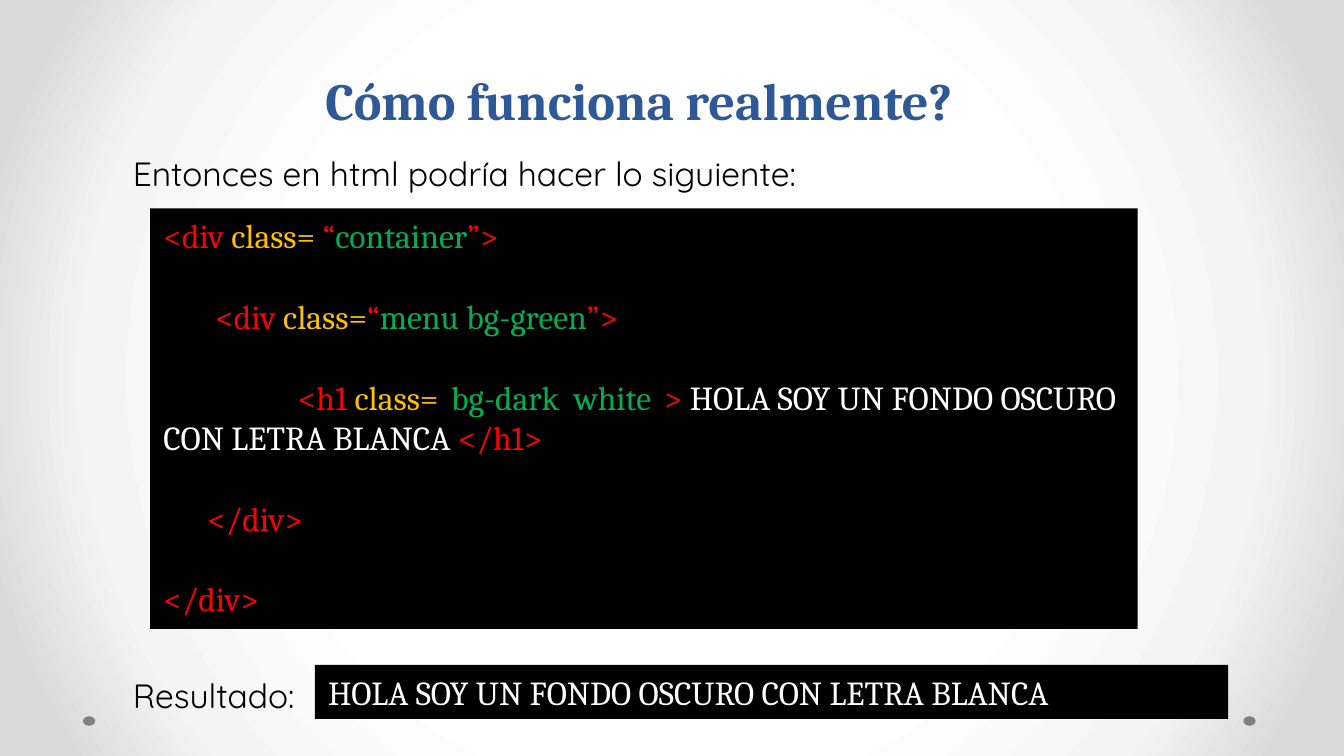
import pptx
import pptx.util
import pptx.dml.color
import pptx.enum.shapes
import pptx.enum.text
import pptx.oxml
import pptx.oxml.ns
from pptx.util import Cm, Pt

COLORS = {
    "title": "2F5897", "ink": "000000", "panel": "000000", "dot": "808080",
    "tag": "FF0000", "attribute": "FFC000", "value": "00B050", "content": "FFFFFF",
}
BACKGROUND_STOPS = [(50, "FFFFFF"), (76, "F4F4F4"), (92, "DADADA")]
CODE_LINE = 21.6  # points

# First-line indent in cm, then the coloured pieces of each code line
CODE = [
    (0, [("<div ", "tag"), ("class=", "attribute"), (" “", "tag"),
         ("container", "value"), ("”>", "tag")]),
    (0.98, [("<div ", "tag"), ("class=", "attribute"), ("“", "tag"),
            ("menu bg-green", "value"), ("”>", "tag")]),
    (2.54, [("<h1 ", "tag"), ("class=", "attribute"), ("“", "ink"),
            ("bg-dark  white", "value"), ("”", "ink"), ("> ", "tag"),
            ("HOLA SOY UN FONDO OSCURO CON LETRA BLANCA ", "content"), ("</h1>", "tag")]),
    (0.83, [("</div>", "tag")]),
    (0, [("</div>", "tag")]),
]


def rgb(name):
    return pptx.dml.color.RGBColor.from_string(COLORS[name])


def format_paragraph(paragraph, size, font_name, color=None, bold=False):
    paragraph.alignment = pptx.enum.text.PP_ALIGN.LEFT
    paragraph.font.size = Pt(size)
    paragraph.font.name = font_name
    paragraph.font.bold = bold
    if color:
        paragraph.font.color.rgb = rgb(color)


def set_insets(frame, horizontal, vertical):
    frame.word_wrap = True
    frame.margin_left = frame.margin_right = Cm(horizontal)
    frame.margin_top = frame.margin_bottom = Cm(vertical)


def add_filled_shape(slide, kind, box, color):
    shape = slide.shapes.add_shape(kind, *map(Cm, box))
    shape.shadow.inherit = False
    shape.fill.solid()
    shape.fill.fore_color.rgb = rgb(color)
    shape.line.fill.background()
    return shape


def add_panel(slide, box):
    shape = add_filled_shape(slide, pptx.enum.shapes.MSO_SHAPE.RECTANGLE, box, "panel")
    set_insets(shape.text_frame, 0.25, 0.13)
    return shape.text_frame


def paint_background(slide):
    stops = "".join(
        f'<a:gs pos="{position * 1000}"><a:srgbClr val="{color}"/></a:gs>'
        for position, color in BACKGROUND_STOPS)
    gradient = pptx.oxml.parse_xml(
        f'<a:gradFill {pptx.oxml.ns.nsdecls("a")} rotWithShape="1"><a:gsLst>{stops}</a:gsLst>'
        '<a:path path="circle"><a:fillToRect l="50000" t="50000" r="50000" b="50000"/></a:path>'
        '</a:gradFill>')
    slide.background.fill.solid()
    solid = slide.background._cSld.find(".//" + pptx.oxml.ns.qn("a:solidFill"))
    solid.getparent().replace(solid, gradient)


def add_dots(slide, lefts, top):
    for left in lefts:
        add_filled_shape(slide, pptx.enum.shapes.MSO_SHAPE.OVAL,
                         (left, top, 0.23, 0.18), "dot")


def place_title(slide, box, text):
    title = slide.shapes.title
    title.left, title.top, title.width, title.height = map(Cm, box)
    frame = title.text_frame
    set_insets(frame, 0.25, 0.25)
    frame.auto_size = pptx.enum.text.MSO_AUTO_SIZE.NONE
    frame.vertical_anchor = pptx.enum.text.MSO_ANCHOR.BOTTOM
    frame.text = text
    paragraph = frame.paragraphs[0]
    format_paragraph(paragraph, 28, "Cambria", "title", bold=True)
    paragraph.line_spacing = Pt(58)


def add_body(slide, box, introduction, result_label):
    frame = slide.shapes.add_textbox(*map(Cm, box)).text_frame
    set_insets(frame, 0.25, 0.25)
    frame.text = f"{introduction}\n{result_label}"
    for paragraph in frame.paragraphs:
        format_paragraph(paragraph, 18, "Quicksand", "ink")
    frame.paragraphs[1].space_before = Pt(258)


def add_code(slide, box, lines):
    frame = add_panel(slide, box)
    frame.vertical_anchor = pptx.enum.text.MSO_ANCHOR.TOP
    for number, (indent, pieces) in enumerate(lines):
        paragraph = frame.add_paragraph() if number else frame.paragraphs[0]
        format_paragraph(paragraph, 18, "Cambria")
        paragraph.space_before = Pt(CODE_LINE if number else 0)
        properties = paragraph._p.get_or_add_pPr()
        properties.set("marL", "0")
        properties.set("indent", str(int(Cm(indent))))
        for text, color in pieces:
            run = paragraph.add_run()
            run.text = text
            run.font.color.rgb = rgb(color)


def add_result(slide, box, text):
    frame = add_panel(slide, box)
    frame.vertical_anchor = pptx.enum.text.MSO_ANCHOR.MIDDLE
    frame.text = text
    format_paragraph(frame.paragraphs[0], 18, "Cambria", "content")


presentation = pptx.Presentation()
presentation.slide_width, presentation.slide_height = Cm(25.4), Cm(14.29)
slide = presentation.slides.add_slide(presentation.slide_layouts[5])

# Backdrop
paint_background(slide)
add_dots(slide, (1.57, 23.5), 13.54)

# Title and body text
place_title(slide, (5.9, 0.94, 14.2, 1.78), "Cómo funciona realmente?")
add_body(slide, (2.26, 2.64, 21.41, 11.3),
         "Entonces en html podría hacer lo siguiente:", "Resultado:")

# Result and code panels
add_result(slide, (5.95, 12.57, 17.26, 1.02), "HOLA SOY UN FONDO OSCURO CON LETRA BLANCA")
add_code(slide, (2.84, 3.94, 18.66, 7.95), CODE)

presentation.save("out.pptx")
